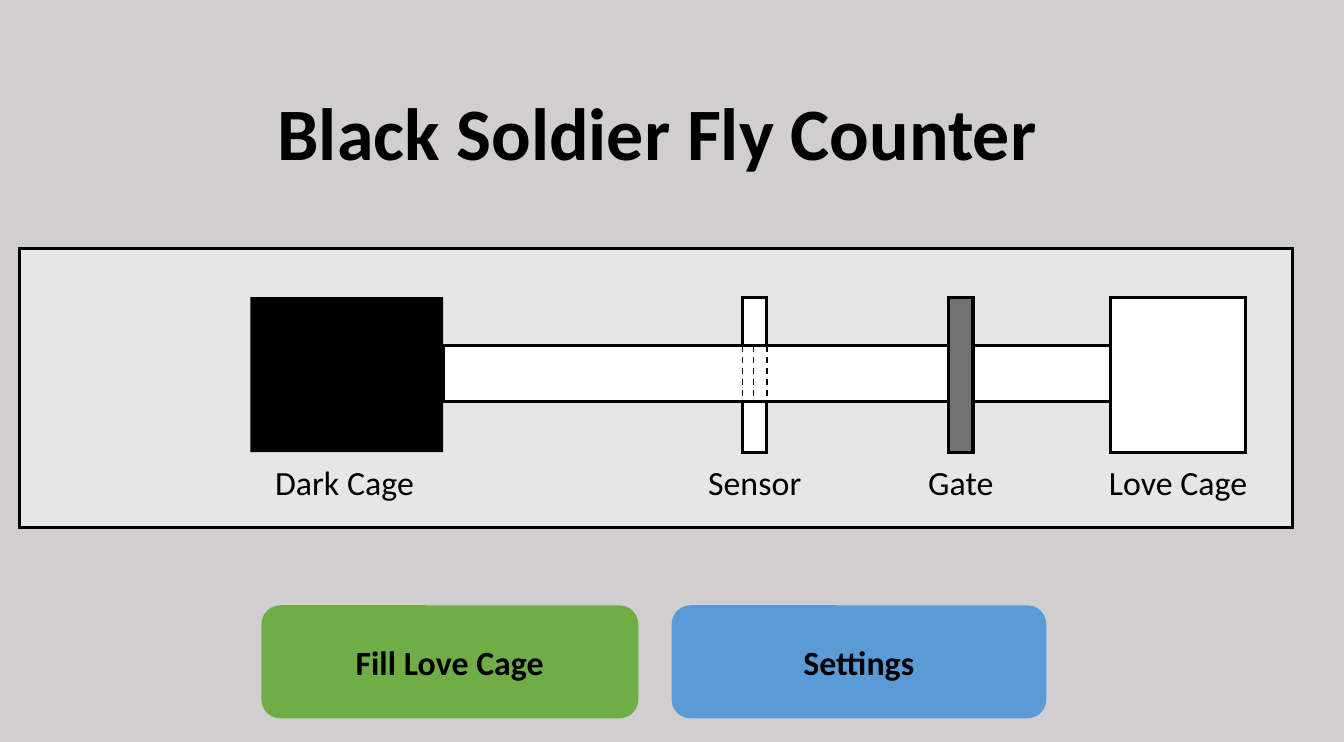
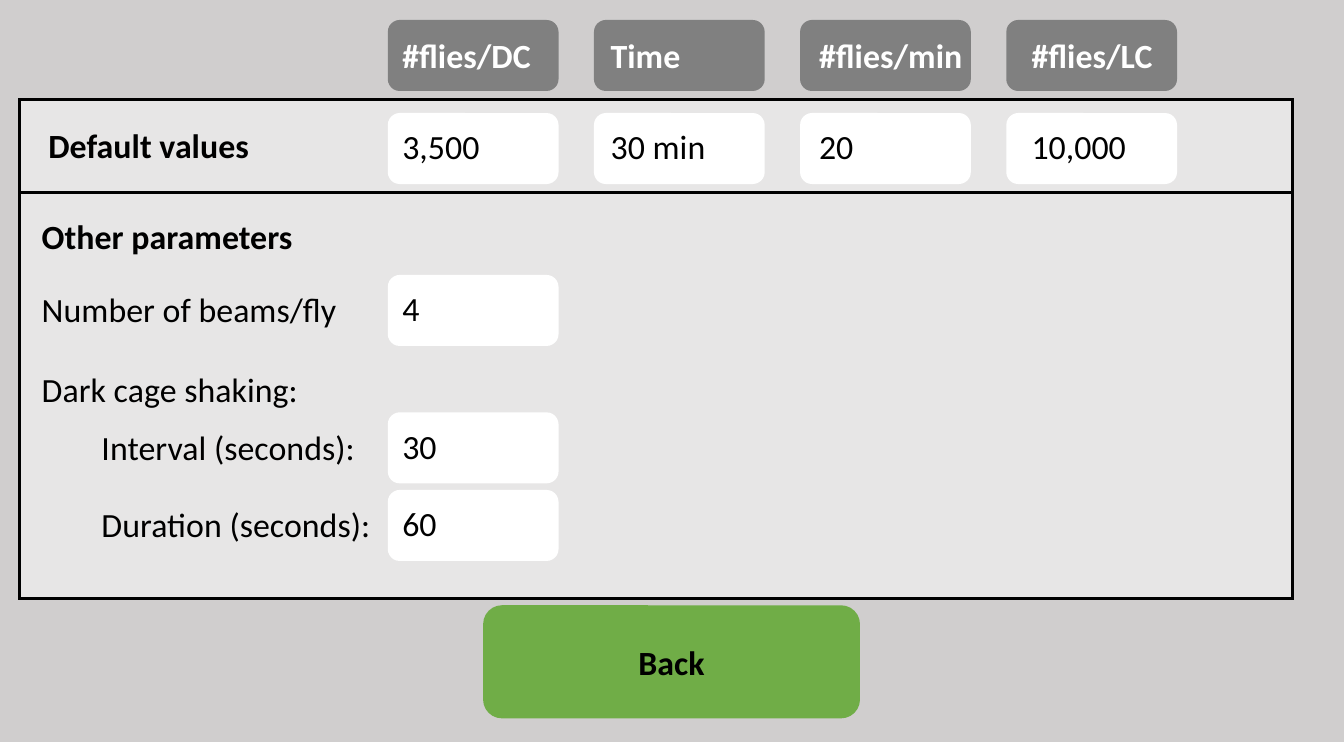
"""Build the two screens of the fly counter: the start screen and the settings."""
from lxml import etree
from pptx import Presentation
from pptx.dml.color import RGBColor
from pptx.enum import dml, shapes, text
from pptx.oxml import ns
from pptx.util import Inches, Pt

COLORS = {
    "background": "D0CECE",
    "panel": "E7E6E6",
    "black": "000000",
    "white": "FFFFFF",
    "gate": "767171",
    "header": "808080",
    "green": "70AD47",
    "blue": "5B9BD5",
}
RECT = shapes.MSO_SHAPE.RECTANGLE
ROUNDED = shapes.MSO_SHAPE.ROUNDED_RECTANGLE
CENTER, LEFT = text.PP_ALIGN.CENTER, text.PP_ALIGN.LEFT
FONT = {"name": "Calibri", "size": Pt(11), "bold": False}
MM_PER_INCH = 25.4


def draw(slide, kind, place, fill, edged=False):
    shape = slide.shapes.add_shape(kind, *map(Inches, place))
    shape.shadow.inherit = False
    shape.fill.solid()
    shape.fill.fore_color.rgb = RGBColor.from_string(COLORS[fill])
    if edged:
        shape.line.color.rgb = RGBColor.from_string(COLORS["black"])
        shape.line.width = Pt(1)
        etree.SubElement(shape.line._get_or_add_ln(), ns.qn("a:miter"), lim="800000")
    else:
        shape.line.fill.background()
    return shape


def write(shape, words, align=LEFT, color="black", inset=0.1, bottom=0.05, **look):
    frame = shape.text_frame
    layout = {
        "word_wrap": True,
        "vertical_anchor": text.MSO_ANCHOR.MIDDLE,
        "margin_left": Inches(inset),
        "margin_right": Inches(inset if align == CENTER else 0),
        "margin_bottom": Inches(bottom),
    }
    for name, value in layout.items():
        setattr(frame, name, value)
    paragraph = frame.paragraphs[0]
    paragraph.alignment = align
    run = paragraph.add_run()
    run.text = words
    for name, value in {**FONT, **look}.items():
        setattr(run.font, name, value)
    run.font.color.rgb = RGBColor.from_string(COLORS[color])


deck = Presentation()
deck.slide_width, deck.slide_height = Inches(154 / MM_PER_INCH), Inches(85 / MM_PER_INCH)
backdrop = deck.slide_master.background.fill
backdrop.solid()
backdrop.fore_color.rgb = RGBColor.from_string(COLORS["background"])
start, settings = [deck.slides.add_slide(deck.slide_layouts[6]) for _ in range(2)]

draw(start, RECT, (0.09, 1.12, 5.74, 1.26), "panel", True)
title = start.shapes.add_textbox(*map(Inches, (1.13, 0.34, 3.67, 0.5)))
write(title, "Black Soldier Fly Counter", CENTER, size=Pt(24), bold=True)

cage_top, cage_height = 1.34, 0.7
tube_top, tube_height = 1.56, 0.25
for left, top, width, height, fill, edged in [
    (3.35, cage_top, 0.11, cage_height, "white", True),
    (1.13, cage_top, 0.87, cage_height, "black", False),
    (5.01, cage_top, 0.61, cage_height, "white", True),
    (2.0, tube_top, 3.01, tube_height, "white", True),
    (4.28, cage_top, 0.11, cage_height, "gate", True),
]:
    draw(start, RECT, (left, top, width, height), fill, edged)

for part, left in [("Dark Cage", 1.09), ("Sensor", 2.94), ("Gate", 3.87), ("Love Cage", 4.85)]:
    caption = start.shapes.add_textbox(*map(Inches, (left, 2.03, 0.93, 0.29)))
    write(caption, part, CENTER)

for x in (3.35, 3.4, 3.46):
    beam = start.shapes.add_connector(
        shapes.MSO_CONNECTOR.STRAIGHT,
        *map(Inches, (x, tube_top, x, tube_top + tube_height)),
    )
    beam.line.color.rgb = RGBColor.from_string(COLORS["black"])
    beam.line.width = Pt(0.5)
    beam.line.dash_style = dml.MSO_LINE.DASH
    etree.SubElement(beam._element.spPr, ns.qn("a:effectLst"))

draw(settings, RECT, (0.09, 0.87, 5.74, 1.83), "panel", True)
draw(settings, RECT, (0.09, 0.45, 5.74, 0.42), "panel", True)

defaults = [
    ("#flies/DC", "3,500", 0.05),
    ("Time", "30 min", 0.06),
    ("#flies/min", "20", 0.07),
    ("#flies/LC", "10,000", 0.1),
]
field_left, field_width, field_height = 1.75, 0.77, 0.32
for column, (heading, value, inset) in enumerate(defaults):
    left = field_left + 0.93 * column
    header = draw(settings, ROUNDED, (left, 0.09, field_width, field_height), "header")
    write(header, heading, color="white", inset=inset, bold=True)
    field = draw(settings, ROUNDED, (left, 0.51, field_width, field_height), "white")
    write(field, value, inset=inset, bottom=0.07)

for top, value in [(1.24, "4"), (1.86, "30"), (2.21, "60")]:
    field = draw(settings, ROUNDED, (field_left, top, field_width, field_height), "white")
    write(field, value, inset=0.05, bottom=0.07)

for left, top, words, bold in [
    (0.12, 0.51, "Default values", True),
    (0.09, 0.92, "Other parameters", True),
    (0.09, 1.25, "Number of beams/fly", False),
    (0.09, 1.61, "Dark cage shaking:", False),
    (0.36, 1.87, "Interval (seconds):", False),
    (0.36, 2.22, "Duration (seconds):", False),
]:
    label = settings.shapes.add_textbox(*map(Inches, (left, top, 1.54, 0.29)))
    write(label, words, bold=bold)

for slide, left, width, words, fill in [
    (start, 1.18, 1.7, "Fill Love Cage", "green"),
    (start, 3.03, 1.69, "Settings", "blue"),
    (settings, 2.18, 1.7, "Back", "green"),
]:
    button = draw(slide, ROUNDED, (left, 2.73, width, 0.51), fill)
    write(button, words, CENTER, bold=True)

deck.save("out.pptx")
